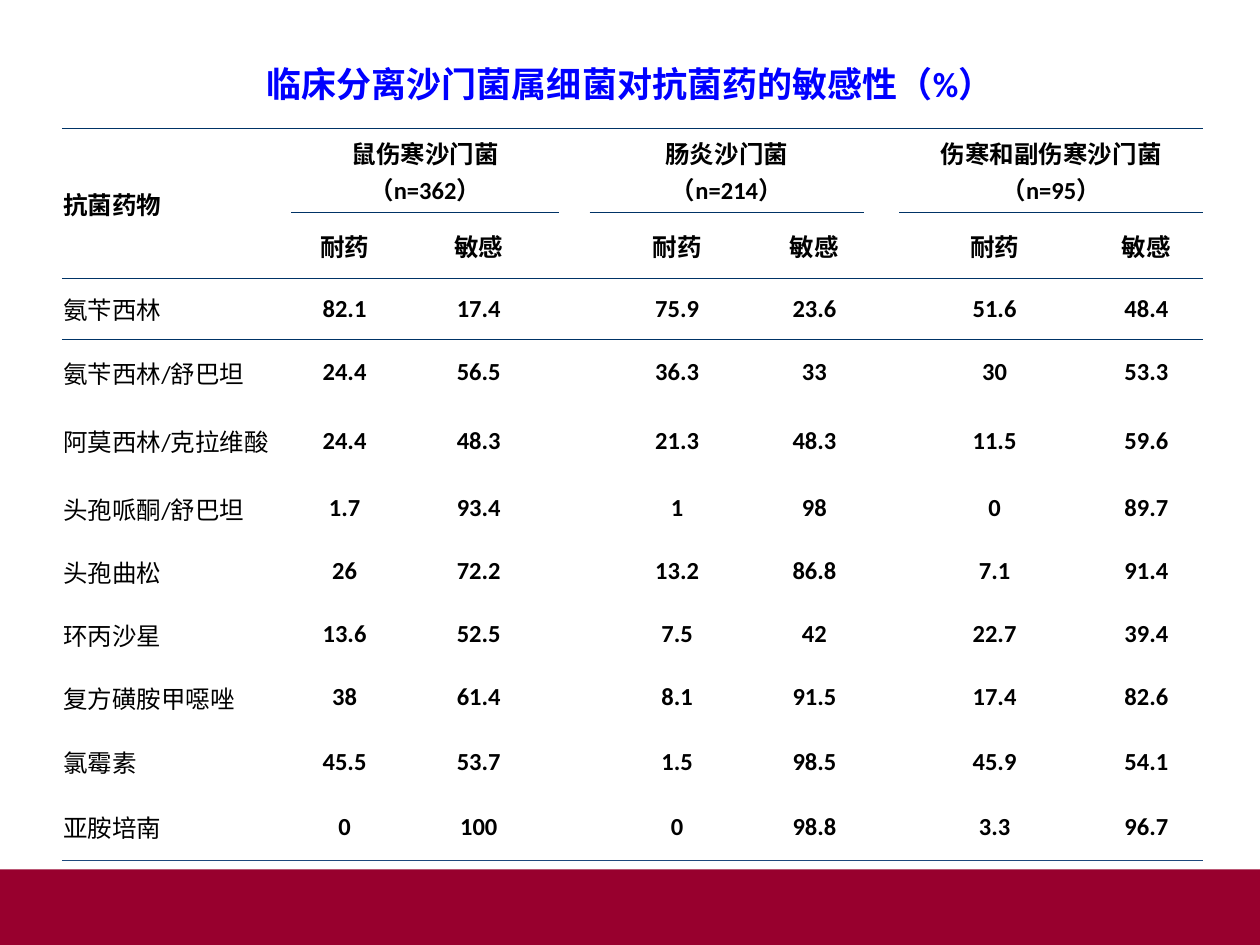
from lxml.etree import SubElement
from pptx import Presentation
from pptx.dml.color import RGBColor
from pptx.enum.shapes import MSO_SHAPE as Shape
from pptx.enum.text import MSO_ANCHOR as Anchor, PP_ALIGN as Align
from pptx.oxml.ns import qn
from pptx.util import Inches, Pt

FONT = "Calibri"
BLACK = RGBColor(0x00, 0x00, 0x00)
TITLE_BLUE = RGBColor(0x00, 0x00, 0xFF)
NAVY = RGBColor(0x00, 0x33, 0x66)
SLATE = RGBColor(0x1F, 0x49, 0x7D)
CRIMSON = RGBColor(0x98, 0x00, 0x2E)

NO_GRID_STYLE = "{2D5ABB26-0587-4C30-8999-92F81FD0307C}"
RULE_WIDTH = Pt(0.45)
COLUMN_WIDTHS = [1.82, 0.85, 1.28, 0.19, 1.39, 0.79, 0.28, 1.51, 0.9]
ROW_HEIGHTS = [0.54, 0.52, 0.49, 0.52, 0.57, 0.5, 0.5, 0.5, 0.5, 0.52, 0.52]
VALUE_COLUMNS = [1, 2, 4, 5, 7, 8]
GROUP_STARTS = VALUE_COLUMNS[::2]
GAP_COLUMNS = [3, 6]
HEADER_ROWS = 2

GROUPS = [
    "鼠伤寒沙门菌\n（n=362）",
    "肠炎沙门菌\n（n=214）",
    "伤寒和副伤寒沙门菌\n（n=95）",
]
DRUGS = [
    ("氨苄西林", "82.1", "17.4", "75.9", "23.6", "51.6", "48.4"),
    ("氨苄西林/舒巴坦", "24.4", "56.5", "36.3", "33", "30", "53.3"),
    ("阿莫西林/克拉维酸", "24.4", "48.3", "21.3", "48.3", "11.5", "59.6"),
    ("头孢哌酮/舒巴坦", "1.7", "93.4", "1", "98", "0", "89.7"),
    ("头孢曲松", "26", "72.2", "13.2", "86.8", "7.1", "91.4"),
    ("环丙沙星", "13.6", "52.5", "7.5", "42", "22.7", "39.4"),
    ("复方磺胺甲噁唑", "38", "61.4", "8.1", "91.5", "17.4", "82.6"),
    ("氯霉素", "45.5", "53.7", "1.5", "98.5", "45.9", "54.1"),
    ("亚胺培南", "0", "100", "0", "98.8", "3.3", "96.7"),
]


def write_text(frame, text, size=14, bold=True, color=BLACK, align=Align.CENTER):
    frame.text = text
    for para in frame.paragraphs:
        para.alignment = align
        font = para.font
        font.name, font.size, font.bold = FONT, Pt(size), bold
        font.color.rgb = color


def fill_cell(cell, text, **text_format):
    cell.vertical_anchor = Anchor.MIDDLE
    cell.margin_left = cell.margin_right = Inches(0.01)
    write_text(cell.text_frame, text, **text_format)


def add_rule(cell, tag, color):
    """Draw one cell border; tag is a:lnT for the top or a:lnB for the bottom."""
    properties = cell._tc.get_or_add_tcPr()
    line = SubElement(properties, qn(tag), w=str(RULE_WIDTH))
    fill = SubElement(line, qn("a:solidFill"))
    SubElement(fill, qn("a:srgbClr"), val=str(color))


def rule_between(table, row, columns, color=NAVY):
    """Rule the line above a row, on both of the cells that share it."""
    for column in columns:
        if row > 0:
            add_rule(table.cell(row - 1, column), "a:lnB", color)
        if row < len(table.rows):
            add_rule(table.cell(row, column), "a:lnT", color)


def add_title(page, deck):
    title = page.shapes.title
    title.left, title.top = 0, Inches(0.4)
    title.width, title.height = deck.slide_width, Inches(0.53)
    title.text_frame.vertical_anchor = Anchor.MIDDLE
    write_text(title.text_frame, "临床分离沙门菌属细菌对抗菌药的敏感性（%）",
               size=20, color=TITLE_BLUE)


def add_footer_band(page, deck):
    height = int(deck.slide_height * 0.08)
    band = page.shapes.add_shape(Shape.RECTANGLE, 0, deck.slide_height - height,
                                 deck.slide_width, height)
    band.shadow.inherit = False
    band.fill.solid()
    band.fill.fore_color.rgb = CRIMSON
    band.line.fill.background()


def add_blank_table(page):
    frame = page.shapes.add_table(
        len(ROW_HEIGHTS), len(COLUMN_WIDTHS), Inches(0.49), Inches(1.02),
        Inches(sum(COLUMN_WIDTHS)), Inches(sum(ROW_HEIGHTS)))
    table = frame.table
    table.first_row = table.horz_banding = False
    table._tbl.tblPr.find(qn("a:tableStyleId")).text = NO_GRID_STYLE
    for column, width in zip(table.columns, COLUMN_WIDTHS):
        column.width = Inches(width)
    for row, height in zip(table.rows, ROW_HEIGHTS):
        row.height = Inches(height)
    return table


def fill_header(table):
    table.cell(0, 0).merge(table.cell(1, 0))
    fill_cell(table.cell(0, 0), "抗菌药物", align=Align.LEFT)
    for start, group in zip(GROUP_STARTS, GROUPS):
        table.cell(0, start).merge(table.cell(0, start + 1))
        fill_cell(table.cell(0, start), group)
        fill_cell(table.cell(1, start), "耐药")
        fill_cell(table.cell(1, start + 1), "敏感")


def fill_body(table):
    for row, (drug, *values) in enumerate(DRUGS, HEADER_ROWS):
        fill_cell(table.cell(row, 0), drug, bold=False, align=Align.LEFT)
        for column, value in zip(VALUE_COLUMNS, values):
            fill_cell(table.cell(row, column), value)


def add_sensitivity_table(page):
    table = add_blank_table(page)
    fill_header(table)
    fill_body(table)
    every_column = range(len(COLUMN_WIDTHS))
    rule_between(table, 0, every_column)
    rule_between(table, 1, VALUE_COLUMNS)
    add_rule(table.cell(0, 0), "a:lnB", NAVY)
    rule_between(table, HEADER_ROWS, every_column)
    rule_between(table, len(ROW_HEIGHTS), every_column, SLATE)
    for row in range(len(ROW_HEIGHTS)):
        for column in every_column:
            table.cell(row, column).fill.background()


def main():
    deck = Presentation()
    deck.slide_width, deck.slide_height = Inches(10), Inches(7.5)
    page = deck.slides.add_slide(deck.slide_layouts.get_by_name("Title Only"))
    add_footer_band(page, deck)
    add_title(page, deck)
    add_sensitivity_table(page)
    deck.save("out.pptx")


if __name__ == "__main__":
    main()
